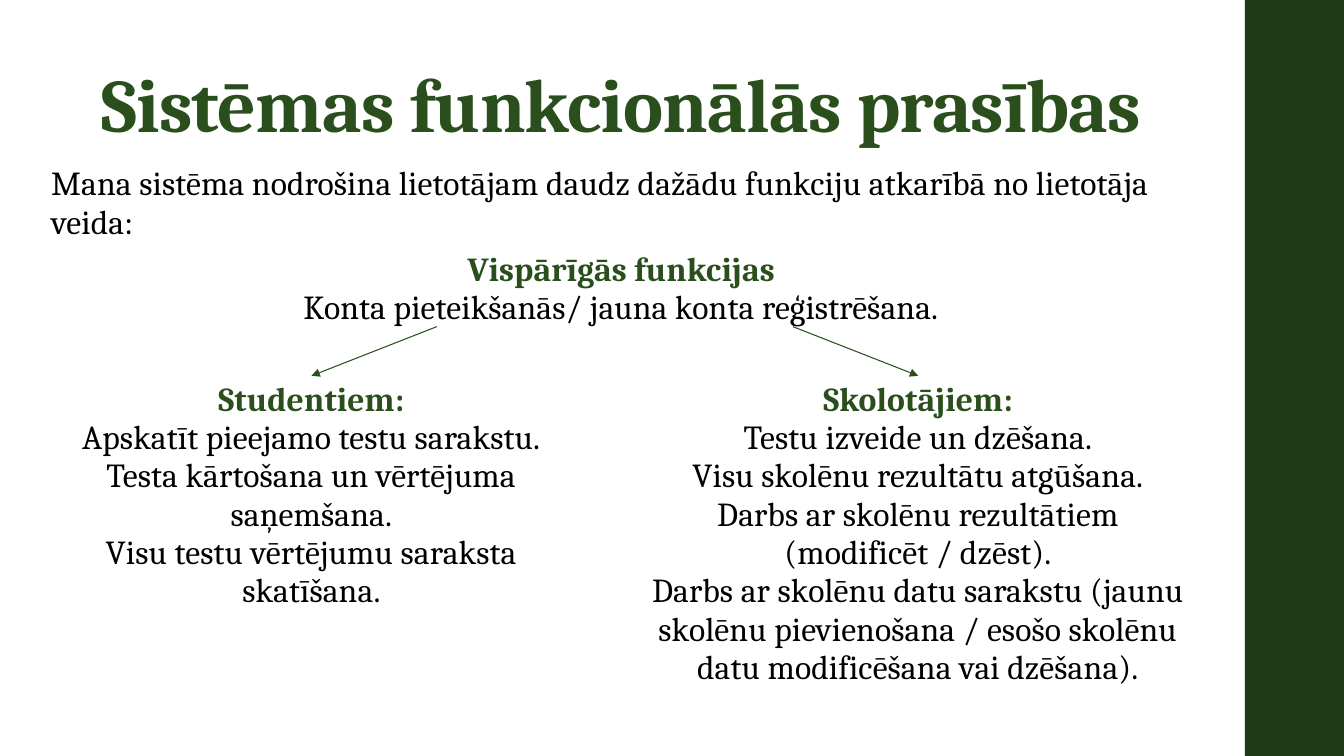
from lxml import etree
from pptx import Presentation
from pptx.dml.color import RGBColor
from pptx.enum.shapes import MSO_CONNECTOR, MSO_SHAPE
from pptx.enum.text import MSO_ANCHOR, MSO_AUTO_SIZE, PP_ALIGN
from pptx.oxml.ns import qn
from pptx.util import Cm, Pt

STRAIGHT = MSO_CONNECTOR.STRAIGHT
RECTANGLE = MSO_SHAPE.RECTANGLE
BOTTOM, TOP = MSO_ANCHOR.BOTTOM, MSO_ANCHOR.TOP
NO_AUTOFIT = MSO_AUTO_SIZE.NONE
LEFT, CENTER = PP_ALIGN.LEFT, PP_ALIGN.CENTER

FONT = "Cambria"
DARK_GREEN, GREEN, BLACK = "1F3B15", "2A4F1C", "000000"
SLIDE_WIDTH, SLIDE_HEIGHT = 33.87, 19.05
BAND_WIDTH = 2.5
MARGIN, CONTENT_WIDTH = 1.04, 29.24
COLUMN_TOP, COLUMN_WIDTH = 9.47, 14.22
ARROW_RUN, ARROW_RISE = 3.16, 1.24

TITLE = "Sistēmas funkcionālās prasības"
INTRO = "Mana sistēma nodrošina lietotājam daudz dažādu funkciju atkarībā no lietotāja veida:"
GENERAL = ("Vispārīgās funkcijas", ["Konta pieteikšanās/ jauna konta reģistrēšana."])
STUDENTS = ("Studentiem:", [
    "Apskatīt pieejamo testu sarakstu.",
    "Testa kārtošana un vērtējuma saņemšana.",
    "Visu testu vērtējumu saraksta skatīšana.",
])
TEACHERS = ("Skolotājiem:", [
    "Testu izveide un dzēšana.",
    "Visu skolēnu rezultātu atgūšana.",
    "Darbs ar skolēnu rezultātiem (modificēt / dzēst).",
    "Darbs ar skolēnu datu sarakstu (jaunu skolēnu pievienošana / "
    "esošo skolēnu datu modificēšana vai dzēšana).",
])


def color(value):
    return RGBColor.from_string(value)


def write(paragraph, text, fill, bold=False, size=24, align=CENTER,
          line_spacing=0.95, tracking=10):
    """Fill a paragraph; tracking is in hundredths of a point."""
    run = paragraph.add_run()
    run.text = text
    run.font._element.set("spc", str(tracking))
    paragraph.alignment = align
    paragraph.line_spacing = line_spacing
    paragraph.font.name = FONT
    paragraph.font.size = Pt(size)
    paragraph.font.bold = bold
    paragraph.font.color.rgb = color(fill)


def prepare_frame(shape, anchor=TOP):
    frame = shape.text_frame
    frame.word_wrap = True
    frame.auto_size = NO_AUTOFIT
    frame.vertical_anchor = anchor
    return frame


def add_text_box(slide, left, top, width, height):
    return slide.shapes.add_textbox(Cm(left), Cm(top), Cm(width), Cm(height))


def add_side_band(slide, left, top, width, height):
    band = slide.shapes.add_shape(RECTANGLE, Cm(left), Cm(top), Cm(width), Cm(height))
    band.shadow.inherit = False
    band.fill.solid()
    band.fill.fore_color.rgb = color(DARK_GREEN)
    band.line.fill.background()


def place_title(slide, left, top, width, height):
    title = slide.shapes.title
    title.left, title.top, title.width, title.height = map(Cm, (left, top, width, height))
    frame = prepare_frame(title, BOTTOM)
    write(frame.paragraphs[0], TITLE, GREEN, bold=True, size=54,
          line_spacing=0.9, tracking=-50)


def add_intro(slide, left, top, width, height):
    frame = prepare_frame(add_text_box(slide, left, top, width, height))
    write(frame.paragraphs[0], INTRO, BLACK, align=LEFT)


def add_function_list(slide, content, left, top, width, height):
    """Place a green heading with its functions below."""
    heading, functions = content
    box = add_text_box(slide, left, top, width, height)
    frame = prepare_frame(box)
    write(frame.paragraphs[0], heading, GREEN, bold=True)
    for function in functions:
        write(frame.add_paragraph(), function, BLACK)
    return box


def add_arrow(slide, target, run):
    """Draw an arrow to the top middle of target, starting run cm sideways."""
    end_x, end_y = target.left + target.width // 2, target.top
    arrow = slide.shapes.add_connector(
        STRAIGHT, end_x + Cm(run), end_y - Cm(ARROW_RISE), end_x, end_y)
    arrow.end_connect(target, 0)
    arrow.line.color.rgb = color(GREEN)
    arrow.line.width = Pt(0.75)
    etree.SubElement(arrow.line._get_or_add_ln(), qn("a:tailEnd"), type="triangle")
    etree.SubElement(arrow._element.spPr, qn("a:effectLst"))


def build_slide(presentation):
    slide = presentation.slides.add_slide(presentation.slide_layouts[5])

    # Side band
    add_side_band(slide, SLIDE_WIDTH - BAND_WIDTH, 0, BAND_WIDTH, SLIDE_HEIGHT)

    # Title, introduction and general functions
    place_title(slide, MARGIN, 0, CONTENT_WIDTH, 3.89)
    add_intro(slide, MARGIN, 4.04, CONTENT_WIDTH, 2.36)
    add_function_list(slide, GENERAL, MARGIN, 6.2, CONTENT_WIDTH, 2.36)

    # Columns for each type of user
    students = add_function_list(slide, STUDENTS, 0.74, COLUMN_TOP, COLUMN_WIDTH, 6.02)
    teachers = add_function_list(slide, TEACHERS, 16.03, COLUMN_TOP, COLUMN_WIDTH, 9.3)

    # Arrows from the general functions to the columns
    add_arrow(slide, students, ARROW_RUN)
    add_arrow(slide, teachers, -ARROW_RUN)


def main():
    presentation = Presentation()
    presentation.slide_width = Cm(SLIDE_WIDTH)
    presentation.slide_height = Cm(SLIDE_HEIGHT)
    build_slide(presentation)
    presentation.save("out.pptx")


if __name__ == "__main__":
    main()
